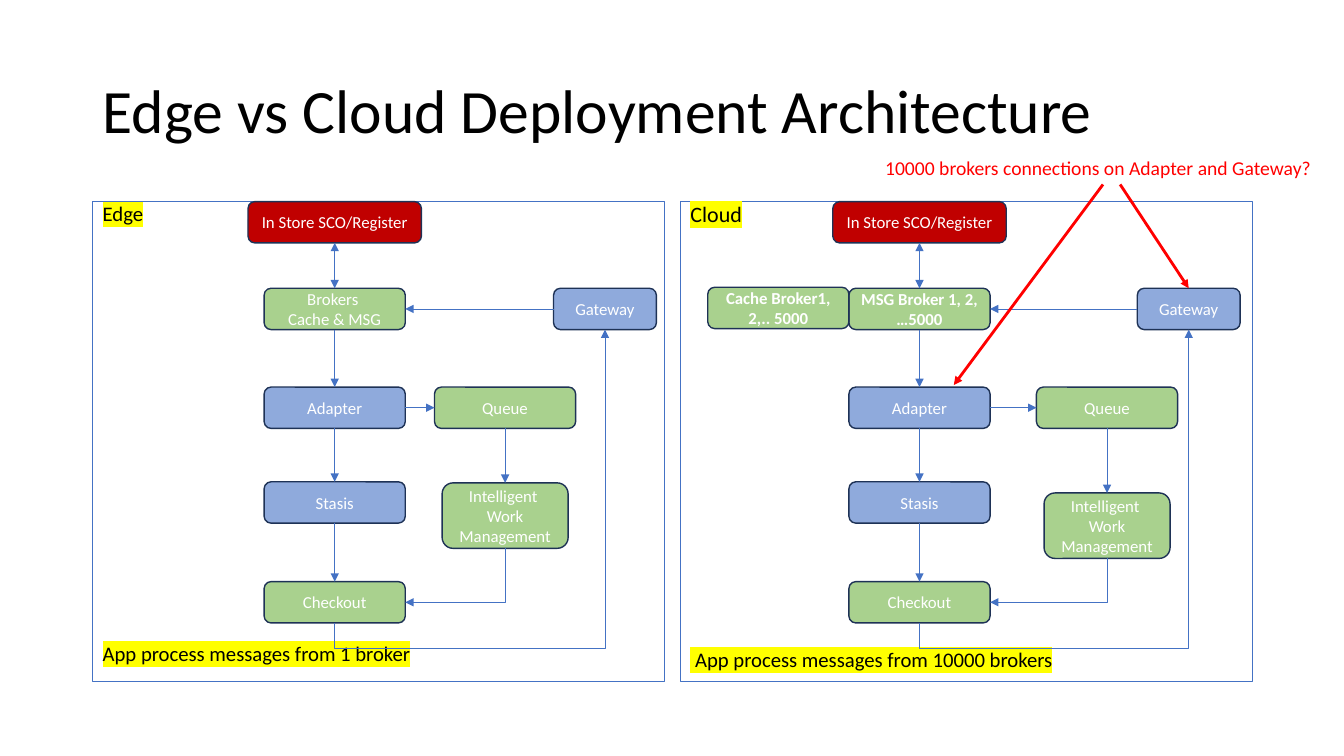
import pptx
import pptx.util
import pptx.dml.color
import pptx.enum.shapes
import pptx.enum.text
import pptx.oxml.ns
import lxml.etree
from dataclasses import dataclass

Inches = pptx.util.Inches
SHAPE = pptx.enum.shapes.MSO_SHAPE
CONNECTOR = pptx.enum.shapes.MSO_CONNECTOR
ALIGN = pptx.enum.text.PP_ALIGN
MIDDLE = pptx.enum.text.MSO_ANCHOR.MIDDLE
rgb = pptx.dml.color.RGBColor.from_string
qn = pptx.oxml.ns.qn


@dataclass
class Theme:
    font: str = "Calibri"
    black: str = "000000"
    white: str = "FFFFFF"
    red: str = "FF0000"
    crimson: str = "C00000"
    green: str = "A9D18E"
    blue: str = "8FAADC"
    outline: str = "1E3256"
    flow: str = "4472C4"
    marker: str = "FFFF00"
    title: float = 44
    heading: float = 15.7
    caption: float = 14.8
    note: float = 14
    box: float = 12


theme = Theme()
deck = pptx.Presentation()
deck.slide_width, deck.slide_height = Inches(13.33), Inches(7.5)
slide = deck.slides.add_slide(deck.slide_layouts[6])


def write(holder, text, size, color, align=ALIGN.LEFT, bold=False, spacing=1.0):
    """Fill a shape with evenly styled text, one paragraph per line."""
    frame = holder.text_frame
    frame.word_wrap = True
    frame.vertical_anchor = MIDDLE
    frame.text = text
    for paragraph in frame.paragraphs:
        paragraph.alignment = align
        paragraph.line_spacing = spacing
        paragraph.font.name = theme.font
        paragraph.font.size = pptx.util.Pt(size)
        paragraph.font.bold = bold
        paragraph.font.color.rgb = rgb(color)


def style_arrow(arrow, color, width, both=False):
    """Colour a connector and give it arrowheads, without a shadow."""
    arrow.line.color.rgb = rgb(color)
    arrow.line.width = pptx.util.Pt(width)
    properties = arrow._element.spPr
    for end in ("a:headEnd", "a:tailEnd") if both else ("a:tailEnd",):
        lxml.etree.SubElement(properties.find(qn("a:ln")), qn(end), type="triangle")
    lxml.etree.SubElement(properties, qn("a:effectLst"))


# Title
title = slide.shapes.add_textbox(Inches(0.92), Inches(0.4), Inches(11.5), Inches(1.45))
write(title, "Edge vs Cloud Deployment Architecture", theme.title, theme.black, spacing=0.9)

# Each panel: left, main column centre, side column centre, gateway centre,
# top of work management, heading and its size, caption and its centre, brokers
panels = [
    (0.92, 3.32, 5.01, 6.0, 4.79, "Edge", theme.caption,
     "App process messages from 1 broker", 6.5, "Brokers \nCache & MSG", False),
    (6.75, 9.12, 10.98, 11.79, 4.89, "Cloud", theme.heading,
     " App process messages from 10000 brokers", 6.56, "MSG Broker 1, 2, …5000", True),
]
TOP, LEFT, BOTTOM, RIGHT = range(4)
box_height = 0.41

for (panel_left, main, side, gateway, work_top, heading, heading_size,
     caption, caption_middle, brokers, is_cloud) in panels:
    # Frame
    panel = slide.shapes.add_shape(SHAPE.RECTANGLE, Inches(panel_left), Inches(2),
                                   Inches(5.67), Inches(4.76))
    panel.shadow.inherit = False
    panel.fill.background()
    panel.line.color.rgb = rgb(theme.flow)
    panel.line.width = pptx.util.Pt(0.75)

    # Highlighted heading and caption
    for label, size, middle in ((heading, heading_size, 2.14),
                                (caption, theme.caption, caption_middle)):
        marked = slide.shapes.add_textbox(Inches(panel_left), Inches(middle - 0.2),
                                          Inches(5.4), Inches(0.4))
        write(marked, label, size, theme.black, spacing=0.8)
        run_properties = marked.text_frame.paragraphs[0].runs[0]._r.get_or_add_rPr()
        highlight = lxml.etree.SubElement(run_properties, qn("a:highlight"))
        lxml.etree.SubElement(highlight, qn("a:srgbClr"), val=theme.marker)

    # Components: name, text, centre, top, width, height, colour, bold
    components = [
        ("register", "In Store SCO/Register", main, 2, 1.72, box_height, theme.crimson, False),
        ("brokers", brokers, main, 2.86, 1.4, box_height, theme.green, is_cloud),
        ("adapter", "Adapter", main, 3.84, 1.4, box_height, theme.blue, False),
        ("stasis", "Stasis", main, 4.78, 1.4, box_height, theme.blue, False),
        ("checkout", "Checkout", main, 5.77, 1.4, box_height, theme.green, False),
        ("stream", "Queue", side, 3.84, 1.4, box_height, theme.green, False),
        ("work", "Intelligent \vWork Management", side, work_top, 1.25, 0.65, theme.green, False),
        ("gateway", "Gateway", gateway, 2.86, 1.02, box_height, theme.blue, False),
    ]
    if is_cloud:
        components.append(("cache", "Cache Broker1, 2,.. 5000", main - 1.4, 2.85, 1.4,
                           box_height, theme.green, True))
    boxes = {}
    for name, text, centre, top, width, height, color, bold in components:
        box = slide.shapes.add_shape(SHAPE.ROUNDED_RECTANGLE, Inches(centre - width / 2),
                                     Inches(top), Inches(width), Inches(height))
        box.shadow.inherit = False
        box.fill.solid()
        box.fill.fore_color.rgb = rgb(color)
        box.line.color.rgb = rgb(theme.outline)
        box.line.width = pptx.util.Pt(1)
        write(box, text, theme.box, theme.white, ALIGN.CENTER, bold)
        boxes[name] = box

    # Message flow; turned elbows give preset, flips and bend position
    flows = [
        ("register", BOTTOM, "brokers", TOP, None),
        ("brokers", BOTTOM, "adapter", TOP, None),
        ("adapter", BOTTOM, "stasis", TOP, None),
        ("stasis", BOTTOM, "checkout", TOP, None),
        ("adapter", RIGHT, "stream", LEFT, None),
        ("stream", BOTTOM, "work", TOP, None),
        ("gateway", LEFT, "brokers", RIGHT, None),
        ("work", BOTTOM, "checkout", RIGHT, ("bentConnector2", "0", None)),
        ("checkout", BOTTOM, "gateway", BOTTOM, ("bentConnector3", "1", -8600)),
    ]
    for source, source_side, target, target_side, elbow in flows:
        kind = CONNECTOR.ELBOW if elbow else CONNECTOR.STRAIGHT
        flow = slide.shapes.add_connector(kind, 0, 0, 0, 0)
        flow.begin_connect(boxes[source], source_side)
        flow.end_connect(boxes[target], target_side)
        if elbow:
            preset, flip, bend = elbow
            # A quarter turn swaps width and height around the same centre
            middle_x = flow.left + flow.width // 2
            middle_y = flow.top + flow.height // 2
            flow.width, flow.height = flow.height, flow.width
            flow.left = middle_x - flow.width // 2
            flow.top = middle_y - flow.height // 2
            frame = flow._element.spPr.find(qn("a:xfrm"))
            for key, value in (("rot", "5400000"), ("flipH", flip), ("flipV", flip)):
                frame.set(key, value)
            geometry = flow._element.spPr.find(qn("a:prstGeom"))
            geometry.set("prst", preset)
            if bend is not None:
                lxml.etree.SubElement(geometry.find(qn("a:avLst")), qn("a:gd"),
                                      name="adj1", fmla=f"val {bend}")
        style_arrow(flow, theme.flow, 0.5, both=source == "register")

# Question about the cloud panel, with arrows to adapter and gateway
question = slide.shapes.add_textbox(Inches(8.68), Inches(1.49), Inches(4.52), Inches(0.34))
write(question, "10000 brokers connections on Adapter and Gateway?", theme.note, theme.red)
for start_x, end_x, end_y in ((10.94, 9.46, 3.82), (11.11, 11.79, 2.86)):
    pointer = slide.shapes.add_connector(CONNECTOR.STRAIGHT, Inches(start_x), Inches(1.83),
                                         Inches(end_x), Inches(end_y))
    style_arrow(pointer, theme.red, 2)

deck.save("out.pptx")
